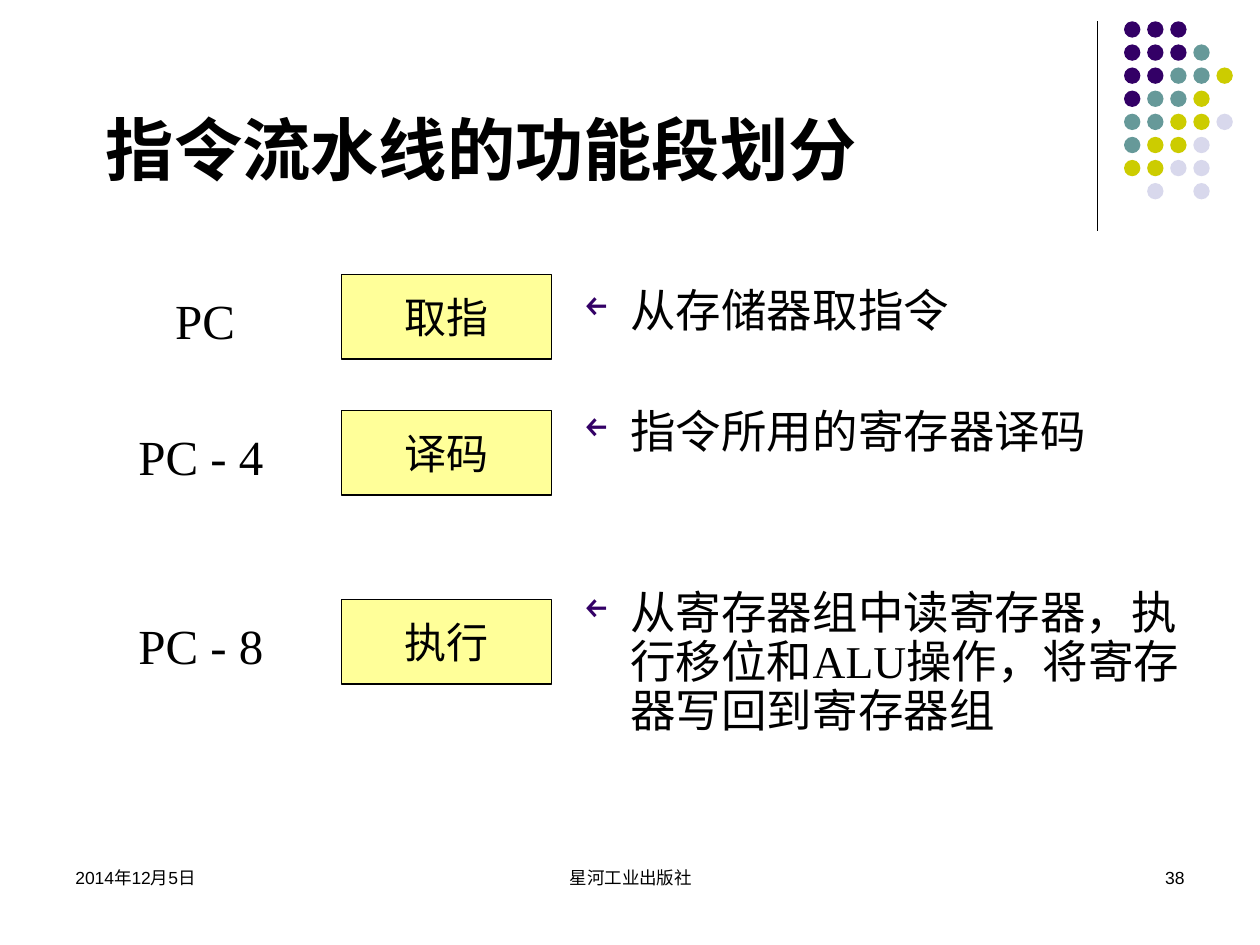
import dataclasses

import pptx
import pptx.dml.color
import pptx.enum.shapes
import pptx.enum.text
import pptx.oxml
import pptx.oxml.ns
import pptx.util

Cm = pptx.util.Cm
Pt = pptx.util.Pt
RGB = pptx.dml.color.RGBColor.from_string
ALIGN = pptx.enum.text.PP_ALIGN
ANCHOR = pptx.enum.text.MSO_ANCHOR
SHAPE = pptx.enum.shapes.MSO_SHAPE


@dataclasses.dataclass(frozen=True)
class Theme:
    ink: str = "000000"
    box: str = "FFFF99"
    purple: str = "330066"
    teal: str = "669999"
    olive: str = "CCCC00"
    pale: str = "D8D8EC"
    serif: str = "Times New Roman"
    sans: str = "Arial"
    stage_font: str = "Karla"
    title: float = 39
    label: float = 28
    body: float = 26
    stage: float = 24
    footer: float = 10
    line: float = 0.75


# One letter per dot: purple, teal, olive, light; a point is a gap.
DOT_ROWS = ["PPP", "PPPT", "PPTTO", "PTTO", "TTOOL", "TOOL", "OOLL", ".L.L"]

# Stage, top of its box, counter label, left of the label (cm)
STAGES = [
    ("取指", 5.54, "PC", 3.28),
    ("译码", 8.28, "PC - 4", 2.54),
    ("执行", 12.09, "PC - 8", 2.54),
]

# Description and the space before it (pt)
DESCRIPTIONS = [
    ("从存储器取指令", 0),
    ("指令所用的寄存器译码", 41),
    ("从寄存器组中读寄存器，执行移位和ALU操作，将寄存器写回到寄存器组", 75.5),
]

FOOTERS = [
    ("2014年12月5日", 1.27, 5.92, ALIGN.LEFT),
    ("星河工业出版社", 8.69, 8.05, ALIGN.CENTER),
    ("38", 18.21, 5.92, ALIGN.RIGHT),
]


def apply(target, values):
    for name, value in values.items():
        setattr(target, name, value)


class SlideBuilder:
    def __init__(self, slide, theme):
        self.s = slide
        self.theme = theme

    def add_run(self, p, text, size, font, align=ALIGN.LEFT, bold=False):
        p.alignment = align
        r = p.add_run()
        r.text = text
        apply(r.font, {"size": Pt(size), "name": font, "bold": bold})
        r.font.color.rgb = RGB(self.theme.ink)

    def title(self, text, left, top, width, height):
        sp = self.s.shapes.title
        apply(sp, {"left": Cm(left), "top": Cm(top),
                   "width": Cm(width), "height": Cm(height)})
        tf = sp.text_frame
        apply(tf, {"vertical_anchor": ANCHOR.BOTTOM, "word_wrap": True,
                   "auto_size": pptx.enum.text.MSO_AUTO_SIZE.NONE})
        self.add_run(tf.paragraphs[0], text, self.theme.title,
                     self.theme.serif, bold=True)

    def text_frame(self, left, top, width, height):
        sp = self.s.shapes.add_textbox(Cm(left), Cm(top), Cm(width), Cm(height))
        sp.text_frame.word_wrap = True
        return sp.text_frame

    def text(self, text, left, top, width, height, size, font, align=ALIGN.LEFT):
        tf = self.text_frame(left, top, width, height)
        self.add_run(tf.paragraphs[0], text, size, font, align)

    def arrow_list(self, items, left, top, width, height):
        tf = self.text_frame(left, top, width, height)
        for i, (text, space) in enumerate(items):
            p = tf.add_paragraph() if i else tf.paragraphs[0]
            self.arrow_bullet(p)
            p.line_spacing = 0.9
            if space:
                p.space_before = Pt(space)
            self.add_run(p, text, self.theme.body, self.theme.serif)

    def arrow_bullet(self, p):
        pPr = p._p.get_or_add_pPr()
        indent = Cm(0.95)
        pPr.set("marL", str(indent))
        pPr.set("indent", str(-indent))
        ns = pptx.oxml.ns.nsdecls("a")
        for xml in (
            f'<a:buClr {ns}><a:srgbClr val="{self.theme.purple}"/></a:buClr>',
            f'<a:buSzPct {ns} val="70000"/>',
            f'<a:buChar {ns} char="←"/>',
        ):
            pPr.append(pptx.oxml.parse_xml(xml))

    def stage_box(self, text, left, top, width, height):
        sp = self.s.shapes.add_shape(
            SHAPE.RECTANGLE, Cm(left), Cm(top), Cm(width), Cm(height))
        sp.shadow.inherit = False
        sp.fill.solid()
        sp.fill.fore_color.rgb = RGB(self.theme.box)
        sp.line.color.rgb = RGB(self.theme.ink)
        sp.line.width = Pt(self.theme.line)
        tf = sp.text_frame
        apply(tf, {"vertical_anchor": ANCHOR.MIDDLE, "word_wrap": False})
        self.add_run(tf.paragraphs[0], text, self.theme.stage,
                     self.theme.stage_font, ALIGN.CENTER)

    def vertical_line(self, x, top, bottom):
        sp = self.s.shapes.add_connector(
            pptx.enum.shapes.MSO_CONNECTOR.STRAIGHT,
            Cm(x), Cm(top), Cm(x), Cm(bottom))
        sp.line.color.rgb = RGB(self.theme.ink)
        sp.line.width = Pt(self.theme.line)
        ns = pptx.oxml.ns.nsdecls("a")
        sp._element.spPr.append(pptx.oxml.parse_xml(f"<a:effectLst {ns}/>"))

    def dot_grid(self, rows, left, top, span, diameter):
        """Draw the dots; span runs from the first row to the last."""
        colors = {"P": self.theme.purple, "T": self.theme.teal,
                  "O": self.theme.olive, "L": self.theme.pale}
        pitch = span / (len(rows) - 1)
        group = self.s.shapes.add_group_shape()
        for i, row in enumerate(rows):
            for j, key in enumerate(row):
                if key not in colors:
                    continue
                sp = group.shapes.add_shape(
                    SHAPE.OVAL, Cm(left + j * pitch), Cm(top + i * pitch),
                    Cm(diameter), Cm(diameter))
                sp.shadow.inherit = False
                sp.fill.solid()
                sp.fill.fore_color.rgb = RGB(colors[key])
                sp.line.fill.background()


def main():
    prs = pptx.Presentation()
    apply(prs, {"slide_width": Cm(25.4), "slide_height": Cm(19.05)})
    theme = Theme()
    s = SlideBuilder(prs.slides.add_slide(prs.slide_layouts[5]), theme)

    s.vertical_line(22.12, 0.43, 4.65)
    s.dot_grid(DOT_ROWS, 22.66, 0.43, 3.26, 0.33)
    s.title("指令流水线的功能段划分", 1.88, 0.33, 20.35, 3.61)
    s.arrow_list(DESCRIPTIONS, 11.51, 5.69, 12.62, 10.9)

    label_right = 6.25
    for stage, top, counter, left in STAGES:
        s.stage_box(stage, 6.88, top, 4.24, 1.7)
        s.text(counter, left, top + 0.2, label_right - left, 1.45,
               theme.label, theme.serif)
    for text, left, width, align in FOOTERS:
        s.text(text, left, 17.35, width, 1.27, theme.footer, theme.sans, align)

    prs.save("out.pptx")


if __name__ == "__main__":
    main()
